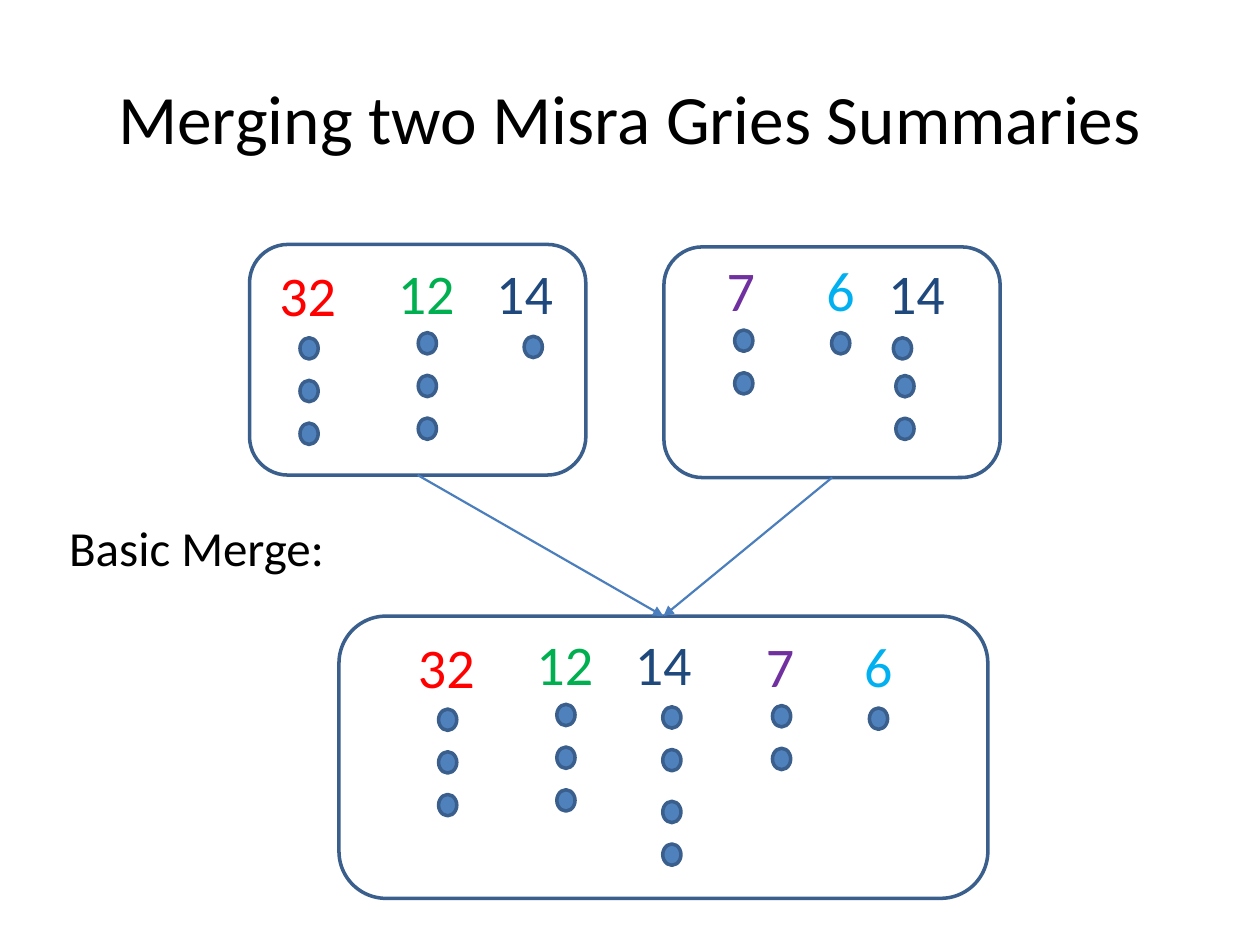
"""Build the slide that shows a basic merge of two Misra Gries summaries."""
from lxml import etree
from pptx import Presentation
from pptx.dml.color import RGBColor
from pptx.enum import shapes, text
from pptx.oxml import ns
from pptx.util import Pt

COLORS = {
    "black": "000000",
    "32": "FF0000",
    "12": "00B050",
    "14": "1F497D",
    "7": "7030A0",
    "6": "00B0F0",
    "dot": "4F81BD",
    "outline": "3A5F8C",
    "arrow": "4B7EBC",
}
DOT_WIDTH, DOT_HEIGHT, DOT_PITCH = 10.4, 12.2, 24.4

deck = Presentation()
deck.slide_width, deck.slide_height = Pt(720), Pt(540)
page = deck.slides.add_slide(deck.slide_layouts[6])


def add_text(words, left, top, width, height, size=32, color="black",
             align=text.PP_ALIGN.LEFT, anchor=text.MSO_ANCHOR.TOP, wrap=False):
    box = page.shapes.add_textbox(Pt(left), Pt(top), Pt(width), Pt(height))
    frame = box.text_frame
    frame.word_wrap = wrap
    frame.vertical_anchor = anchor
    para = frame.paragraphs[0]
    para.alignment = align
    span = para.add_run()
    span.text = words
    span.font.name = "Calibri"
    span.font.size = Pt(size)
    span.font.color.rgb = RGBColor.from_string(COLORS[color])


add_text("Merging two Misra Gries Summaries", 36, 21.6, 648, 90, size=39.6,
         align=text.PP_ALIGN.CENTER, anchor=text.MSO_ANCHOR.MIDDLE, wrap=True)

counters = [
    ("32", 152.6, 145.4), ("12", 220.3, 144), ("14", 276.5, 144),
    ("7", 408.2, 142.6), ("6", 465.1, 142.6), ("14", 500.4, 144),
    ("32", 231.8, 357.8), ("12", 299.5, 356.4), ("14", 355.7, 356.4),
    ("7", 430.6, 357.1), ("6", 486.7, 357.1),
]
for item, left, top in counters:
    add_text(item, left, top, 47.5 if len(item) == 2 else 31, 46, color=item)

dot_stacks = [
    (171.4, 193, 3), (239, 190.1, 3), (299.5, 192.2, 1),
    (419.8, 188.6, 2), (475.2, 190.1, 1), (510.5, 193, 1), (511.9, 214.6, 2),
    (250.6, 405.2, 3), (318.2, 402.5, 3), (378.7, 403.9, 2),
    (378.7, 457.9, 2), (441.4, 403.2, 2), (496.8, 404.6, 1),
]
for left, top, count in dot_stacks:
    for row in range(count):
        dot = page.shapes.add_shape(
            shapes.MSO_SHAPE.OVAL, Pt(left), Pt(top + row * DOT_PITCH),
            Pt(DOT_WIDTH), Pt(DOT_HEIGHT))
        dot.shadow.inherit = False
        dot.fill.solid()
        dot.fill.fore_color.rgb = RGBColor.from_string(COLORS["dot"])
        dot.line.color.rgb = RGBColor.from_string(COLORS["outline"])
        dot.line.width = Pt(2)

summaries = []
for bounds in [(142.6, 139.7, 192.2, 131.8), (379.4, 141.1, 192.2, 131.8),
               (193.7, 352.1, 370.8, 161.3)]:
    summary = page.shapes.add_shape(
        shapes.MSO_SHAPE.ROUNDED_RECTANGLE, *[Pt(length) for length in bounds])
    summary.shadow.inherit = False
    summary.fill.background()
    summary.line.color.rgb = RGBColor.from_string(COLORS["outline"])
    summary.line.width = Pt(2)
    summaries.append(summary)

*sources, merged = summaries
for source in sources:
    arrow = page.shapes.add_connector(shapes.MSO_CONNECTOR.STRAIGHT, 0, 0, 0, 0)
    arrow.begin_connect(source, 2)
    arrow.end_connect(merged, 0)
    arrow.line.color.rgb = RGBColor.from_string(COLORS["arrow"])
    arrow.line.width = Pt(1.25)
    etree.SubElement(arrow.line._get_or_add_ln(), ns.qn("a:tailEnd"), type="triangle")
    etree.SubElement(arrow._element.spPr, ns.qn("a:effectLst"))

add_text("Basic Merge:", 32.4, 292.3, 162, 41, size=28)

deck.save("out.pptx")
